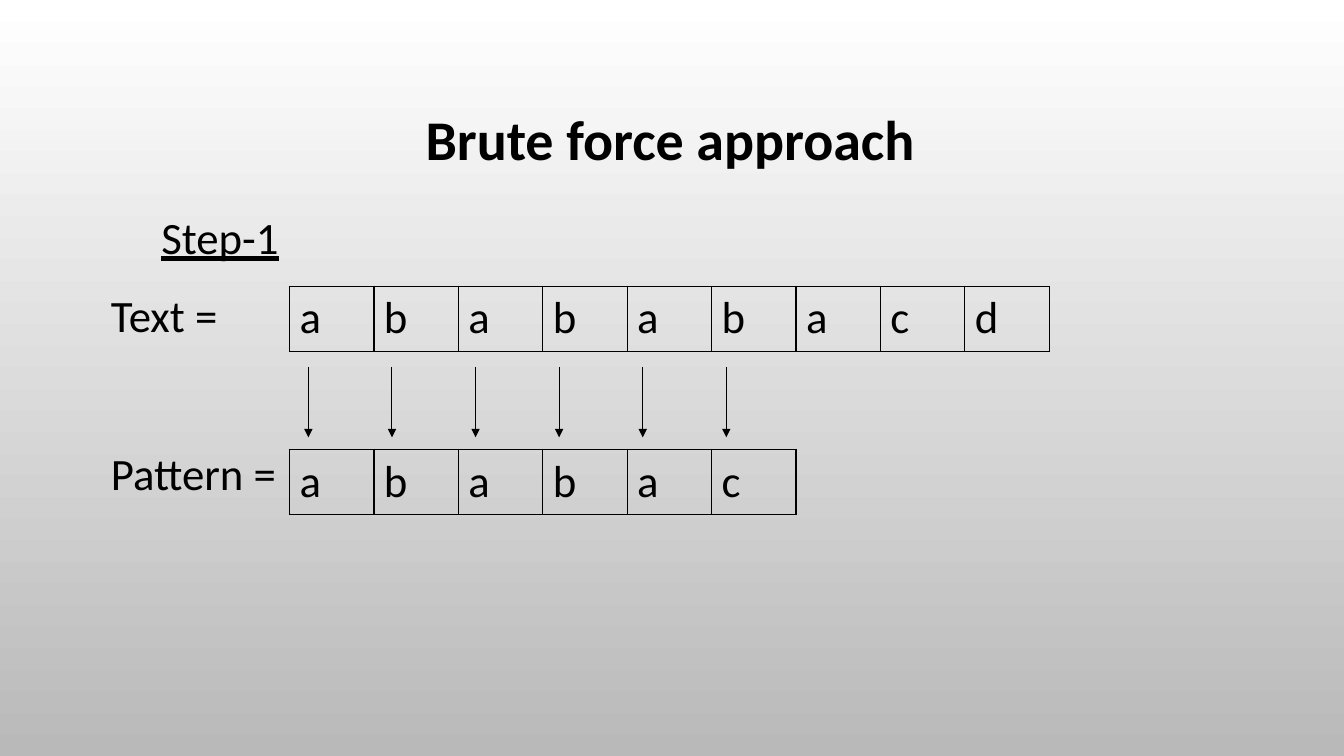
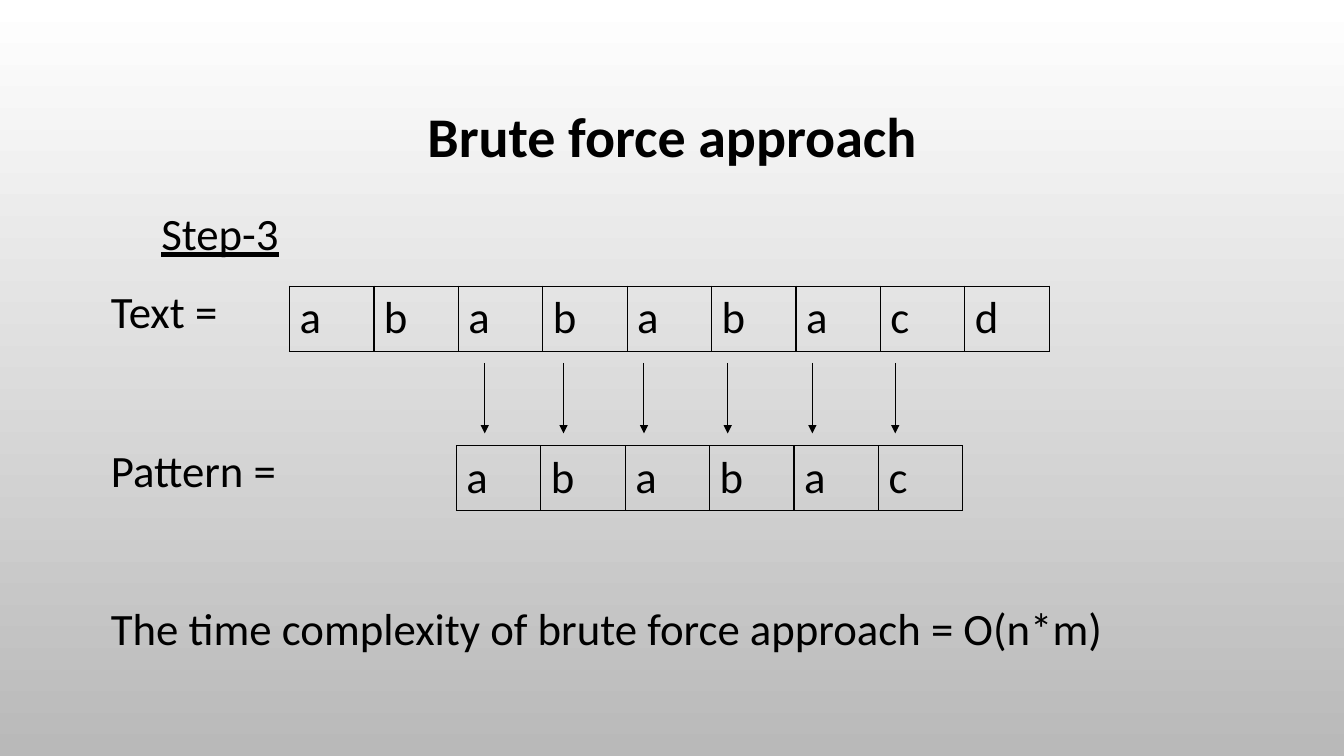
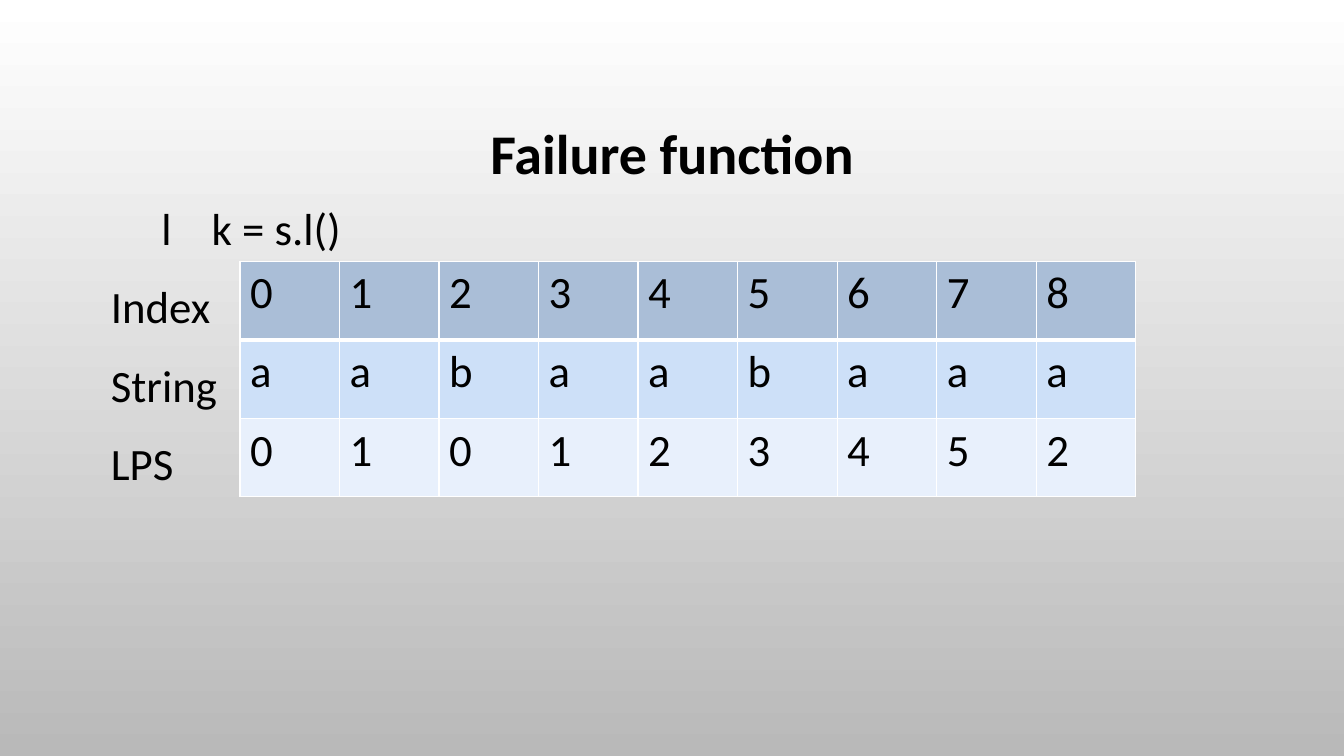
from lxml.etree import SubElement
from pptx import Presentation
from pptx.dml.color import RGBColor
from pptx.enum.shapes import MSO_CONNECTOR as Connector
from pptx.enum.text import MSO_ANCHOR as Anchor, MSO_AUTO_SIZE as AutoSize, PP_ALIGN as Align
from pptx.oxml.ns import qn
from pptx.util import Pt

FONT = "Calibri"
BLACK = RGBColor(0x00, 0x00, 0x00)
WHITE = RGBColor(0xFF, 0xFF, 0xFF)
GRAY = RGBColor(0xB9, 0xB9, 0xB9)
HEADER_BLUE = RGBColor(0xAA, 0xBE, 0xD7)
LIGHT_BLUE = RGBColor(0xCD, 0xE0, 0xF8)
PALE_BLUE = RGBColor(0xE8, 0xF0, 0xFC)

CELL_WIDTH = 60.3
STEP_TAB = 288
BLANK_LINE = 67
SEARCH_TEXT = "abababacd"
PATTERN = "ababac"


def write(paragraph, text, size=32, bold=False, underline=False, align=Align.LEFT,
          line_spacing=None, space_before=0, tabs=()):
    """Fill a paragraph without a bullet; leading tabs are never underlined."""
    properties = paragraph._p.get_or_add_pPr()
    properties.set("marL", "0")
    properties.set("indent", "0")
    paragraph.alignment = align
    paragraph.space_before = Pt(space_before)
    if line_spacing:
        paragraph.line_spacing = line_spacing
    SubElement(properties, qn("a:buNone"))
    if tabs:
        tab_list = SubElement(properties, qn("a:tabLst"))
        for position in tabs:
            SubElement(tab_list, qn("a:tab"), pos=str(Pt(position)), algn="l")
    words = text.lstrip("\t")
    for part, underlined in ((text[:len(text) - len(words)], False), (words, underline)):
        if part:
            run = paragraph.add_run()
            run.text = part
            font = run.font
            font.name, font.size, font.bold = FONT, Pt(size), bold
            font.underline = underlined
            font.color.rgb = BLACK


def set_border(cell, color, widths):
    """Draw the left, right, top and bottom edges, with widths in that order."""
    properties = cell._tc.get_or_add_tcPr()
    for index, (side, width) in enumerate(zip("LRTB", widths)):
        line = properties.makeelement(qn(f"a:ln{side}"), {"w": str(Pt(width))})
        fill = SubElement(line, qn("a:solidFill"))
        SubElement(fill, qn("a:srgbClr"), val=str(color))
        properties.insert(index, line)


class Deck:
    """Holds the shared style and the slide being built."""

    def __init__(self):
        self.presentation = Presentation()
        self.presentation.slide_width = Pt(960)
        self.presentation.slide_height = Pt(540)
        self.slide = None
        fill = self.presentation.slide_master.background.fill
        fill.gradient()
        fill.gradient_angle = 270
        for stop, color in zip(fill.gradient_stops, (WHITE, GRAY)):
            stop.color.rgb = color

    def add_slide(self, title, top, left=72):
        layout = self.presentation.slide_layouts[1]
        self.slide = self.presentation.slides.add_slide(layout)
        frame = self.place(self.slide.shapes.title, left, top, 816, 126)
        frame.vertical_anchor = Anchor.MIDDLE
        write(frame.paragraphs[0], title, size=40, bold=True, align=Align.CENTER,
              line_spacing=0.9)

    def place(self, shape, left, top, width, height):
        shape.left, shape.top = Pt(left), Pt(top)
        shape.width, shape.height = Pt(width), Pt(height)
        frame = shape.text_frame
        frame.auto_size = AutoSize.NONE
        frame.word_wrap = True
        return frame

    def add_body(self, lines, top, height, width=816):
        """Each line is a text and a dictionary with its own format."""
        frame = self.place(self.slide.placeholders[1], 72, top, width, height)
        for index, (text, style) in enumerate(lines):
            paragraph = frame.add_paragraph() if index else frame.paragraphs[0]
            write(paragraph, text, **{"line_spacing": 1.2,
                                      "space_before": 10 if index else 0, **style})

    def add_table(self, rows, left, top, cell_width=CELL_WIDTH, row_height=46,
                  fills=(None,), border=BLACK, header_line=1):
        columns = len(rows[0])
        table = self.slide.shapes.add_table(
            len(rows), columns, Pt(left), Pt(top),
            Pt(cell_width * columns), Pt(row_height * len(rows))).table
        table.first_row = table.horz_banding = False
        for column in table.columns:
            column.width = Pt(cell_width)
        for row_index, (values, fill) in enumerate(zip(rows, fills)):
            table.rows[row_index].height = Pt(row_height)
            for column_index, value in enumerate(values):
                cell = table.cell(row_index, column_index)
                write(cell.text_frame.paragraphs[0], value)
                if fill is None:
                    cell.fill.background()
                else:
                    cell.fill.solid()
                    cell.fill.fore_color.rgb = fill
                above = header_line if row_index == 1 else 1
                below = header_line if row_index == 0 else 1
                set_border(cell, border, (1, 1, above, below))

    def add_arrows(self, positions, top, length=50.4):
        for x in positions:
            arrow = self.slide.shapes.add_connector(
                Connector.STRAIGHT, Pt(x), Pt(top), Pt(x), Pt(top + length))
            arrow.line.color.rgb = BLACK
            arrow.line.width = Pt(0.75)
            SubElement(arrow.line._get_or_add_ln(), qn("a:tailEnd"), type="triangle")
            SubElement(arrow._element.spPr, qn("a:effectLst"))

    def add_matching_step(self, step, body_top, body_height, pattern_left, pattern_top,
                          arrow_positions, arrow_top, conclusion=()):
        lines = [(f"\tStep-{step}", {"underline": True, "tabs": (STEP_TAB,)}),
                 ("Text =", {}),
                 ("Pattern =", {"space_before": BLANK_LINE})]
        lines += [(text, {"space_before": BLANK_LINE}) for text in conclusion]
        self.add_body(lines, body_top, body_height)
        self.add_table([SEARCH_TEXT], 206.8, 204.5)
        self.add_table([PATTERN], pattern_left, pattern_top)
        self.add_arrows(arrow_positions, arrow_top)


def main():
    deck = Deck()

    deck.add_slide("Brute force approach", top=39, left=70.6)
    deck.add_matching_step(1, 138.2, 269, pattern_left=206.8, pattern_top=321,
                           arrow_positions=[220.3 + 59.7 * i for i in range(len(PATTERN))],
                           arrow_top=262)

    deck.add_slide("Brute force approach", top=36.7)
    deck.add_matching_step(3, 135.4, 345.6, pattern_left=326, pattern_top=318.4,
                           arrow_positions=(346.3, 402.5, 460, 519.8, 580.3, 639.5),
                           arrow_top=259.2,
                           conclusion=["The time complexity of brute force approach = O(n*m)"])

    deck.add_slide("Failure function", top=49)
    deck.add_body([("\tl\tk = s.l()", {"tabs": (245, 741.5)}),
                   ("Index", {}), ("String", {}), ("LPS", {})],
                  top=131.8, height=360, width=854)
    deck.add_table(["012345678", "aabaabaaa", "010123452"], 171.4, 186.6,
                   cell_width=71.1, row_height=56.1,
                   fills=(HEADER_BLUE, LIGHT_BLUE, PALE_BLUE),
                   border=WHITE, header_line=3)

    deck.presentation.save("out.pptx")


if __name__ == "__main__":
    main()
